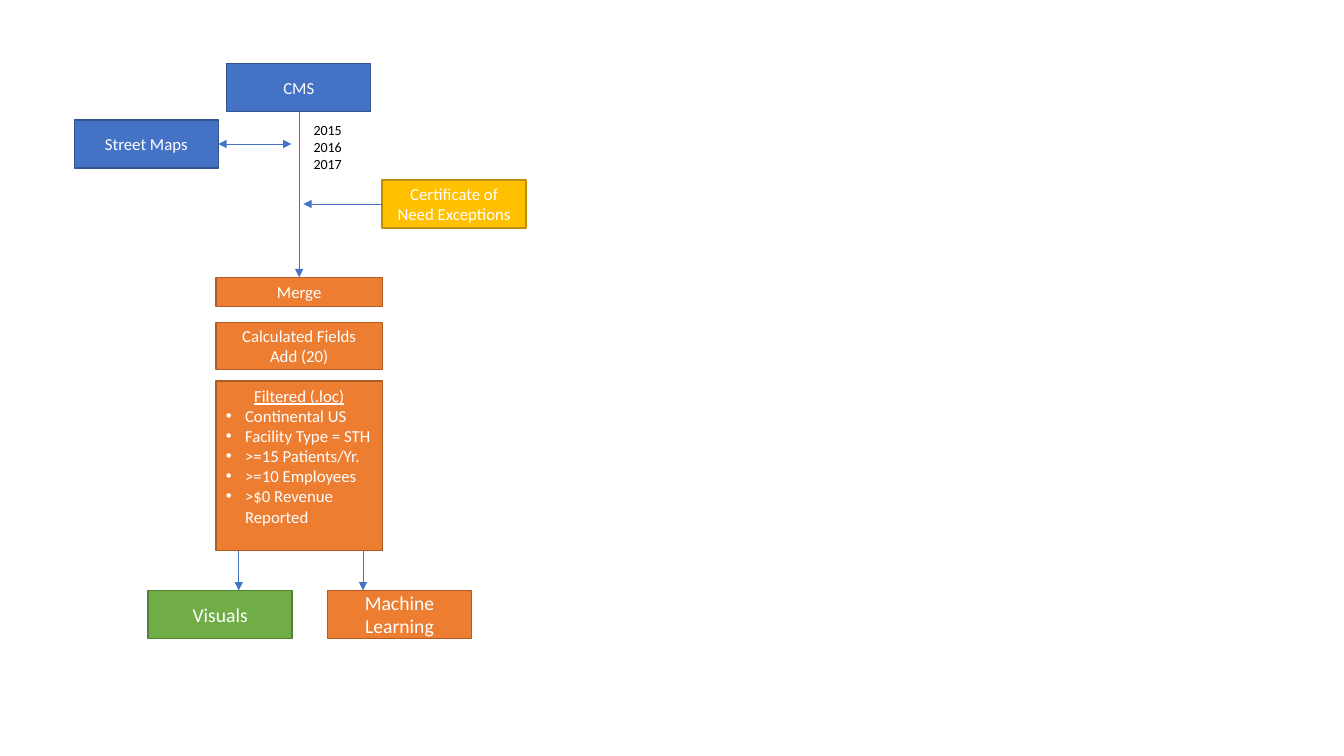
"""Draw the data-pipeline flowchart on a grid of 112 columns by 63 rows."""
from dataclasses import dataclass

from lxml import etree
from pptx import Presentation
from pptx import util as u
from pptx.dml.color import RGBColor
from pptx.enum import shapes, text
from pptx.oxml.ns import qn

WHITE = RGBColor(0xFF, 0xFF, 0xFF)
BLACK = RGBColor(0x00, 0x00, 0x00)
BLUE, BLUE_EDGE = RGBColor(0x44, 0x72, 0xC4), RGBColor(0x32, 0x54, 0x91)
GOLD, GOLD_EDGE = RGBColor(0xFF, 0xC0, 0x00), RGBColor(0xBD, 0x8E, 0x00)
ORANGE, ORANGE_EDGE = RGBColor(0xED, 0x7D, 0x31), RGBColor(0xAF, 0x5C, 0x24)
GREEN, GREEN_EDGE = RGBColor(0x70, 0xAD, 0x47), RGBColor(0x53, 0x80, 0x35)

prs = Presentation()
prs.slide_width, prs.slide_height = u.Inches(13.33), u.Inches(7.5)
COL, ROW = prs.slide_width / 112, prs.slide_height / 63
BOX_W, BOX_H, STEP_W = 12, 4, 13.87
STEP_X = 18
SPINE_X = STEP_X + STEP_W / 2


@dataclass
class Box:
    label: str
    x: float
    y: float
    fill: RGBColor
    edge: RGBColor
    w: float = BOX_W
    h: float = BOX_H
    size: int = 12

    @property
    def right(self) -> float:
        return self.x + self.w

    @property
    def bottom(self) -> float:
        return self.y + self.h

    @property
    def middle(self) -> float:
        return self.y + self.h / 2


@dataclass
class Arrow:
    x1: float
    y1: float
    x2: float
    y2: float
    both: bool = False


def grid(x: float, y: float, w: float, h: float) -> tuple[int, int, int, int]:
    """Turn grid columns and rows into slide lengths."""
    return round(x * COL), round(y * ROW), round(w * COL), round(h * ROW)


def write(tf, label: str, size: int, color: RGBColor, align) -> None:
    """Fill a text frame and format all its runs."""
    tf.text = label
    for p in tf.paragraphs:
        p.alignment = align
        for r in p.runs:
            r.font.name, r.font.size = "Calibri", u.Pt(size)
            r.font.color.rgb = color


def draw_box(s, box: Box):
    """Draw one labelled rectangle."""
    sp = s.shapes.add_shape(shapes.MSO_SHAPE.RECTANGLE, *grid(box.x, box.y, box.w, box.h))
    sp.shadow.inherit = False
    sp.fill.solid()
    sp.fill.fore_color.rgb = box.fill
    sp.line.color.rgb, sp.line.width = box.edge, u.Pt(1)
    tf = sp.text_frame
    tf.word_wrap, tf.vertical_anchor = True, text.MSO_ANCHOR.MIDDLE
    write(tf, box.label, box.size, WHITE, text.PP_ALIGN.CENTER)
    return sp


def draw_arrow(s, arrow: Arrow) -> None:
    """Draw one thin connector with triangle heads."""
    x1, y1, x2, y2 = grid(arrow.x1, arrow.y1, arrow.x2, arrow.y2)
    sp = s.shapes.add_connector(shapes.MSO_CONNECTOR.STRAIGHT, x1, y1, x2, y2)
    sp.line.color.rgb, sp.line.width = BLUE, u.Pt(0.5)
    ln = sp.line._get_or_add_ln()
    for end in ("a:headEnd", "a:tailEnd") if arrow.both else ("a:tailEnd",):
        etree.SubElement(ln, qn(end), type="triangle")
    etree.SubElement(sp._element.spPr, qn("a:effectLst"))


def bullet(p) -> None:
    """Give a paragraph a hanging bullet."""
    p.alignment = text.PP_ALIGN.LEFT
    pPr = p._p.get_or_add_pPr()
    indent = u.Inches(0.19)
    pPr.set("marL", str(indent))
    pPr.set("indent", str(-indent))
    etree.SubElement(pPr, qn("a:buFont"), typeface="Arial")
    etree.SubElement(pPr, qn("a:buChar"), char="•")


def step(label: str, y: float, h: float) -> Box:
    """Describe one processing step in the central column."""
    return Box(label, STEP_X, y, ORANGE, ORANGE_EDGE, STEP_W, h)


cms = Box("CMS", 18.9, 5.3, BLUE, BLUE_EDGE)
maps = Box("Street Maps", 6.2, 10, BLUE, BLUE_EDGE)
exceptions = Box("Certificate of Need Exceptions", 31.85, 15, GOLD, GOLD_EDGE)
merge = step("Merge", 23.1, 2.45)
calculated = step("Calculated Fields\nAdd (20)", 26.9, 3.9)
filtered = step("Filtered (.loc)\nContinental US\nFacility Type = STH\n>=15 Patients/Yr.\n"
                ">=10 Employees\n>$0 Revenue Reported", 31.75, 14.15)
dashboard = Box("Visuals", 12.35, 49.2, GREEN, GREEN_EDGE, size=14)
learning = Box("Machine Learning", 27.3, 49.2, ORANGE, ORANGE_EDGE, size=14)

s = prs.slides.add_slide(prs.slide_layouts[6])
for box in (cms, maps, exceptions, merge, calculated, dashboard, learning):
    draw_box(s, box)

tf = draw_box(s, filtered).text_frame
tf.margin_bottom = u.Inches(0.25)
heading, *criteria = tf.paragraphs
heading.runs[0].font.underline = True
for p in criteria:
    bullet(p)

years = s.shapes.add_textbox(*grid(25.3, 9.75, 4.1, 5.1)).text_frame
years.word_wrap, years.auto_size = False, text.MSO_AUTO_SIZE.SHAPE_TO_FIT_TEXT
write(years, "2015\n2016\n2017", 10, BLACK, text.PP_ALIGN.LEFT)

for arrow in (
    Arrow(SPINE_X, cms.bottom, SPINE_X, merge.y),
    Arrow(maps.right, maps.middle, SPINE_X - 0.65, maps.middle, both=True),
    Arrow(exceptions.x, exceptions.middle, SPINE_X + 0.35, exceptions.middle),
    Arrow(19.9, filtered.bottom, 19.9, dashboard.y),
    Arrow(30.25, filtered.bottom, 30.25, learning.y),
):
    draw_arrow(s, arrow)

prs.save("out.pptx")
